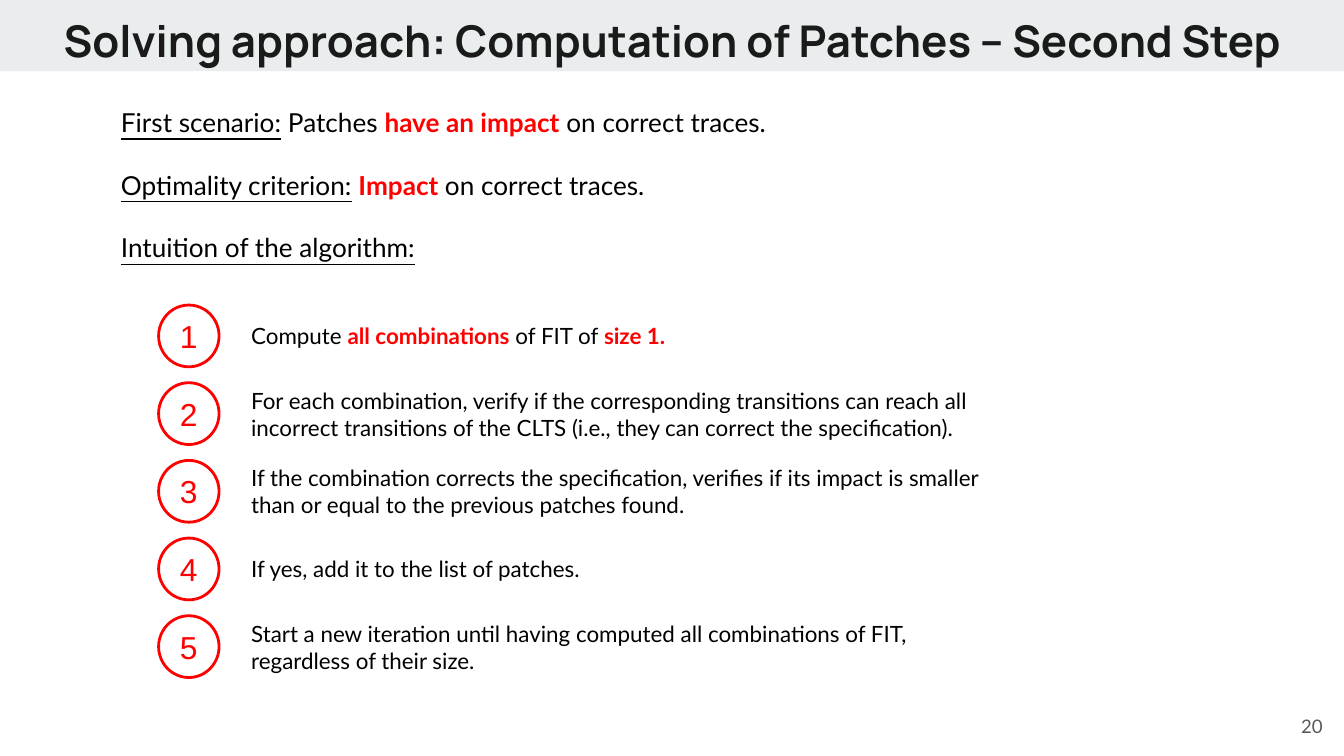
from dataclasses import dataclass

from lxml.etree import SubElement
from pptx import Presentation
from pptx.dml.color import RGBColor
from pptx.enum.shapes import MSO_SHAPE
from pptx.enum.text import MSO_ANCHOR, MSO_AUTO_SIZE, PP_ALIGN
from pptx.oxml.ns import qn
from pptx.util import Inches, Pt


@dataclass(frozen=True)
class Theme:
    band: RGBColor = RGBColor(0xE9, 0xED, 0xEE)
    heading: RGBColor = RGBColor(0x1A, 0x1A, 0x1A)
    text: RGBColor = RGBColor(0, 0, 0)
    accent: RGBColor = RGBColor(0xFF, 0, 0)
    muted: RGBColor = RGBColor(0x59, 0x59, 0x59)
    title_font: str = "Manrope"
    body_font: str = "Lato"
    number_font: str = "Arial"
    title_size: float = 23.4
    intro_size: float = 14
    step_size: float = 12
    number_size: float = 17
    footer_size: float = 10


THEME = Theme()
PLAIN = {}
LABEL = {"underline": True}
STRONG = {"bold": True, "color": THEME.accent}

INTRO = [
    [("First scenario:", LABEL), (" Patches ", PLAIN), ("have an impact", STRONG),
     (" on correct traces.", PLAIN)],
    [("Optimality criterion:", LABEL), (" ", PLAIN), ("Impact ", STRONG),
     ("on correct traces.", PLAIN)],
    [("Intuition of the algorithm:", LABEL)],
]

# Each step: text height in inches, then its spans
STEPS = [
    (0.4, [("Compute ", PLAIN), ("all combinations", STRONG), (" of FIT of ", PLAIN),
           ("size 1.", STRONG)]),
    (0.61, [("For each combination, verify if the corresponding transitions can reach all "
             "incorrect transitions of the CLTS (i.e., they can correct the specification).",
             PLAIN)]),
    (0.61, [("If the combination corrects the specification, verifies if its impact is smaller "
             "than or equal to the previous patches found.", PLAIN)]),
    (0.4, [("If yes, add it to the list of patches.", PLAIN)]),
    (0.61, [("Start a new iteration until having computed all combinations of FIT, "
             "regardless of their size.", PLAIN)]),
]


def add_span(para, text, size, font=THEME.body_font, color=THEME.text, bold=False,
             underline=False):
    span = para.add_run()
    span.text = text
    span.font.name = font
    span.font.size = Pt(size)
    span.font.color.rgb = color
    span.font.bold = bold
    span.font.underline = underline


def place(shape, left, top, width, height):
    shape.left, shape.top = Inches(left), Inches(top)
    shape.width, shape.height = Inches(width), Inches(height)


def set_frame(shape, anchor=MSO_ANCHOR.MIDDLE, margin=0.1):
    frame = shape.text_frame
    frame.word_wrap = True
    frame.auto_size = MSO_AUTO_SIZE.NONE
    frame.vertical_anchor = anchor
    frame.margin_left = frame.margin_right = Inches(margin)
    frame.margin_top = frame.margin_bottom = Inches(margin)
    return frame


def add_text(page, left, top, width, height):
    box = page.shapes.add_textbox(*map(Inches, (left, top, width, height)))
    return set_frame(box).paragraphs[0]


def add_header(page, text, width):
    title = page.shapes.title
    band = page.shapes.add_shape(MSO_SHAPE.RECTANGLE, 0, 0, Inches(width), Inches(0.53))
    band.shadow.inherit = False
    band.fill.solid()
    band.fill.fore_color.rgb = THEME.band
    band.line.fill.background()
    title.element.addprevious(band.element)  # band goes behind the title

    place(title, 0.16, 0, width - 0.32, 0.59)
    para = set_frame(title).paragraphs[0]
    para.alignment = PP_ALIGN.CENTER
    add_span(para, text, THEME.title_size, THEME.title_font, THEME.heading, bold=True)


def add_intro(page, lines, left, top, width, height):
    body = page.placeholders[1]
    place(body, left, top, width, height)
    frame = set_frame(body, MSO_ANCHOR.TOP)
    for index, spans in enumerate(lines):
        para = frame.add_paragraph() if index else frame.paragraphs[0]
        properties = para._p.get_or_add_pPr()
        properties.set("marL", "0")
        properties.set("indent", "0")
        SubElement(properties, qn("a:buNone"))
        para.space_before = Pt(16.8 if index else 0)
        for text, style in spans:
            add_span(para, text, THEME.intro_size, **style)


def add_step(page, number, spans, left, top, text_height):
    width, height = 0.45, 0.46
    circle = page.shapes.add_shape(MSO_SHAPE.OVAL, *map(Inches, (left, top, width, height)))
    circle.shadow.inherit = False
    circle.fill.background()
    circle.line.color.rgb = THEME.accent
    circle.line.width = Pt(1.5)
    para = set_frame(circle, margin=0).paragraphs[0]
    para.alignment = PP_ALIGN.CENTER
    add_span(para, str(number), THEME.number_size, THEME.number_font, THEME.accent)

    text_top = top + (height - text_height) / 2
    para = add_text(page, left + 0.59, text_top, 5.71, text_height)
    for text, style in spans:
        add_span(para, text, THEME.step_size, **style)


def add_steps(page, steps, left, top, height):
    pitch = height / len(steps)
    for index, (text_height, spans) in enumerate(steps):
        add_step(page, index + 1, spans, left, top + index * pitch, text_height)


def add_page_number(page, number, left, top, width, height):
    para = add_text(page, left, top, width, height)
    para.alignment = PP_ALIGN.RIGHT
    add_span(para, str(number), THEME.footer_size, color=THEME.muted)


def main():
    deck = Presentation()
    deck.slide_width = Inches(10)
    deck.slide_height = deck.slide_width * 9 // 16
    page = deck.slides.add_slide(deck.slide_layouts[1])
    add_header(page, "Solving approach: Computation of Patches – Second Step", 10)
    add_intro(page, INTRO, 0.8, 0.69, 5.98, 1.38)
    add_steps(page, STEPS, 1.18, 2.27, 2.89)
    add_page_number(page, 20, 9.34, 5.19, 0.6, 0.43)
    deck.save("out.pptx")


if __name__ == "__main__":
    main()
